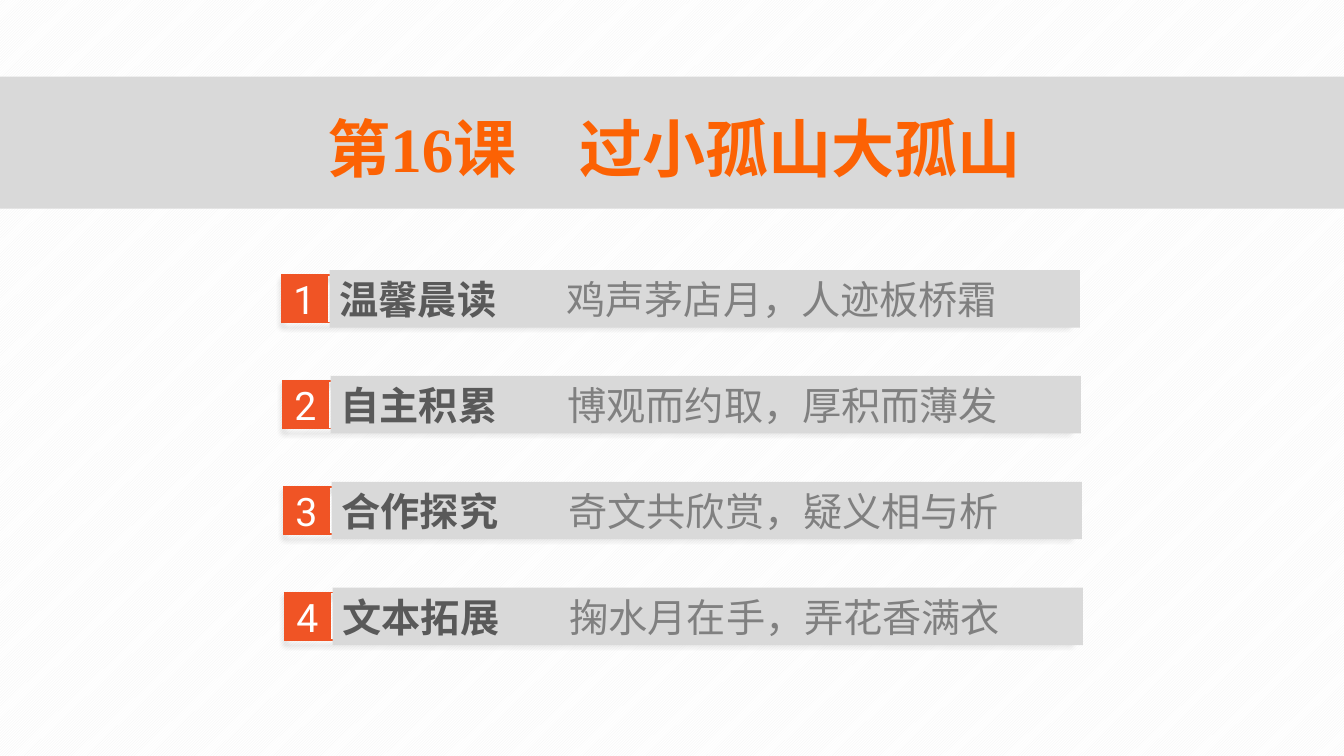
from lxml.etree import SubElement
from pptx import Presentation
from pptx.dml.color import RGBColor
from pptx.enum.dml import MSO_PATTERN
from pptx.enum.shapes import MSO_SHAPE
from pptx.enum.text import MSO_ANCHOR, PP_ALIGN
from pptx.oxml.ns import qn
from pptx.util import Pt

PX = 9144
COLORS = {
    "stripe": "F2F2F2",
    "white": "FFFFFF",
    "band": "D9D9D9",
    "badge": "F05425",
    "heading": "595959",
    "verse": "808080",
    "title": "FC6204",
    "shadow": "000000",
}
CJK_FONT = "Noto Sans CJK SC"
SECTIONS = [
    ("温馨晨读", "鸡声茅店月，人迹板桥霜"),
    ("自主积累", "博观而约取，厚积而薄发"),
    ("合作探究", "奇文共欣赏，疑义相与析"),
    ("文本拓展", "掬水月在手，弄花香满衣"),
]
ROW_PITCH = 105


def rgb(name):
    return RGBColor.from_string(COLORS[name])


class LessonSlide:
    def __init__(self, deck):
        self.slide = deck.slides.add_slide(deck.slide_layouts[6])

    def background(self):
        fill = self.slide.background.fill
        fill.patterned()
        fill.pattern = MSO_PATTERN.LIGHT_UPWARD_DIAGONAL
        fill.fore_color.rgb = rgb("stripe")
        fill.back_color.rgb = rgb("white")

    def rect(self, parent, box, fill=None, line=None):
        shape = parent.shapes.add_shape(MSO_SHAPE.RECTANGLE, *(n * PX for n in box))
        shape.shadow.inherit = False
        if fill:
            shape.fill.solid()
            shape.fill.fore_color.rgb = rgb(fill)
        else:
            shape.fill.background()
        if line:
            shape.line.color.rgb = rgb(line)
            shape.line.width = Pt(1)
        else:
            shape.line.fill.background()
        return shape

    def drop_shadow(self, shape):
        effects = shape._element.spPr.find(qn("a:effectLst"))
        outer = SubElement(effects, qn("a:outerShdw"), blurRad=str(Pt(4)),
                           dist=str(Pt(3)), dir="5400000", rotWithShape="0")
        color = SubElement(outer, qn("a:srgbClr"), val=COLORS["shadow"])
        SubElement(color, qn("a:alpha"), val="40000")

    def paragraph(self, shape, align, side_inset=0):
        frame = shape.text_frame
        frame.word_wrap = True
        frame.vertical_anchor = MSO_ANCHOR.MIDDLE
        frame.margin_left = frame.margin_right = side_inset * PX
        frame.margin_top = frame.margin_bottom = 0
        paragraph = frame.paragraphs[0]
        paragraph.alignment = align
        return paragraph

    def run(self, paragraph, text, font, size, color, bold=False):
        run = paragraph.add_run()
        run.text = text
        run.font.name = font
        run.font.size = Pt(size)
        run.font.bold = bold
        run.font.color.rgb = rgb(color)
        SubElement(run.font._element, qn("a:ea"), typeface=CJK_FONT)

    def title(self, text, box):
        title = self.slide.shapes.add_textbox(*(n * PX for n in box))
        line = self.paragraph(title, PP_ALIGN.CENTER, 10)
        self.run(line, text, "Times New Roman", 45, "title", bold=True)

    def section(self, index, heading, verse):
        row = self.slide.shapes.add_group_shape()
        left, top = 279 + index, 273 + index * ROW_PITCH
        outline = self.rect(row, (left, top, 779, 47), line="badge")
        self.drop_shadow(outline)

        badge = self.rect(row, (left, top, 46, 47), "badge", "badge")
        number = self.paragraph(badge, PP_ALIGN.CENTER)
        self.run(number, str(index + 1), "Roboto", 28, "white")

        bar = self.rect(row, (left + 48, top - 5, 744, 57), "band")
        label = self.paragraph(bar, PP_ALIGN.LEFT, 10)
        tabs = SubElement(label._p.get_or_add_pPr(), qn("a:tabLst"))
        SubElement(tabs, qn("a:tab"), pos=str(225 * PX), algn="l")
        self.run(label, heading + "\t", CJK_FONT, 28, "heading", bold=True)
        self.run(label, verse, CJK_FONT, 28, "verse")


def main():
    deck = Presentation()
    deck.slide_width, deck.slide_height = 1333 * PX, 750 * PX
    lesson = LessonSlide(deck)
    lesson.background()
    lesson.rect(lesson.slide, (0, 76, 1333, 131), "band")
    for index, (heading, verse) in enumerate(SECTIONS):
        lesson.section(index, heading, verse)
    lesson.title("第16课　过小孤山大孤山", (115, 105, 1107, 82))
    deck.save("out.pptx")


if __name__ == "__main__":
    main()
